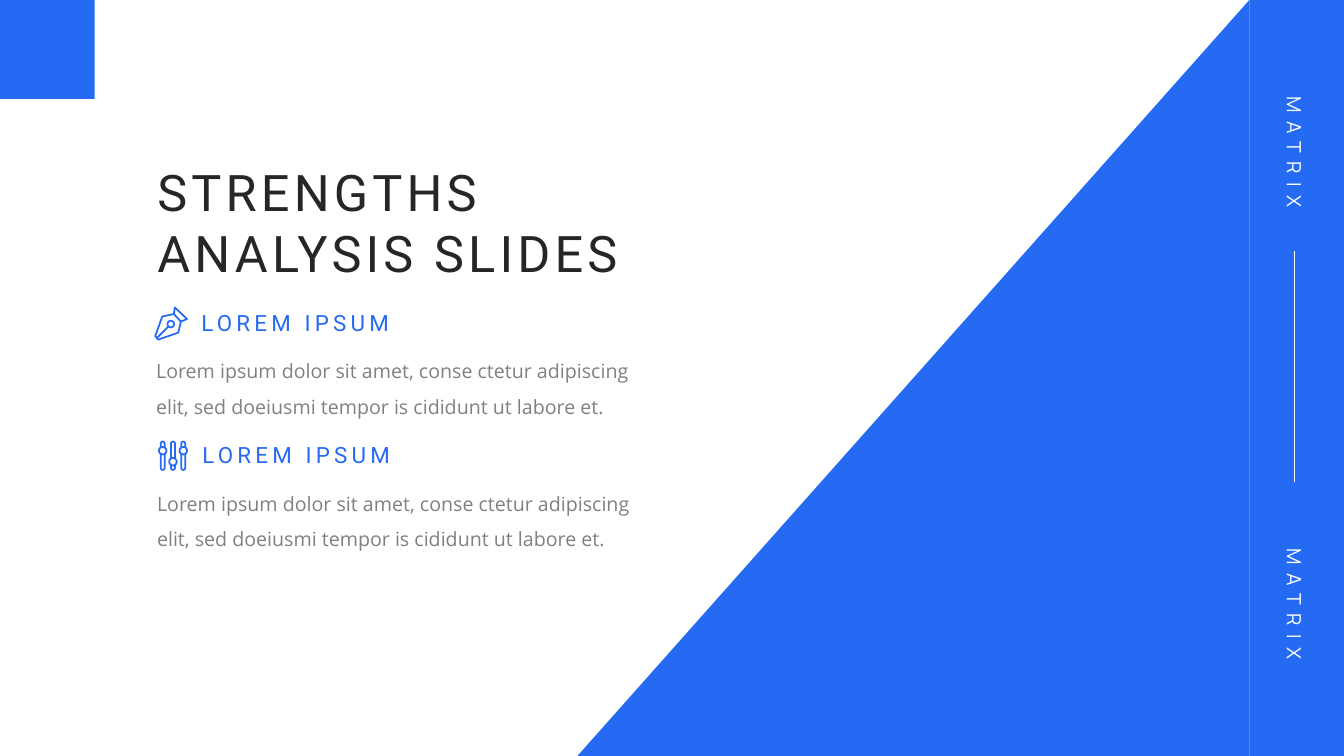
from pptx import Presentation
from pptx.dml.color import RGBColor
from pptx.enum.shapes import MSO_CONNECTOR as Link, MSO_SHAPE as Kind
from pptx.enum.text import MSO_AUTO_SIZE as Fit, PP_ALIGN as Align
from pptx.oxml.ns import qn
from pptx.util import Pt
from lxml.etree import SubElement

BLUE, WHITE, DARK, GREY = "256AF3", "FFFFFF", "262626", "808080"


def paint(color, code):
    color.rgb = RGBColor.from_string(code)


class Page:
    def __init__(self, deck):
        self.shapes = deck.slides.add_slide(deck.slide_layouts[6]).shapes

    def style(self, item, fill, line=None, width=1.25):
        """Give a shape its fill and outline; None leaves either one empty."""
        item.shadow.inherit = False
        for part, code in ((item.fill, fill), (item.line.fill, line)):
            if code:
                part.solid()
                paint(part.fore_color, code)
            else:
                part.background()
        if line:
            item.line.width = Pt(width)
        return item

    def shape(self, kind, x, y, w, h, fill=BLUE, line=None):
        item = self.shapes.add_shape(kind, Pt(x), Pt(y), Pt(w), Pt(h))
        return self.style(item, fill, line)

    def outline(self, *paths):
        """Stroke several paths, each a list of points and a closed flag."""
        pen = None
        for dots, close in paths:
            dots = [(Pt(x), Pt(y)) for x, y in dots]
            if pen is None:
                pen = self.shapes.build_freeform(*dots[0])
            else:
                pen.move_to(*dots[0])
            pen.add_line_segments(dots[1:], close=close)
        return self.style(pen.convert_to_shape(), None, BLUE)

    def line(self, x1, y1, x2, y2, code, width):
        item = self.shapes.add_connector(Link.STRAIGHT, Pt(x1), Pt(y1), Pt(x2), Pt(y2))
        paint(item.line.color, code)
        item.line.width = Pt(width)
        SubElement(item._element.spPr, qn("a:effectLst"))

    def text(self, words, x, y, w, h, size, font, code, gap=0,
             align=Align.LEFT, wrap=True, lead=None, turn=0):
        box = self.shapes.add_textbox(Pt(x), Pt(y), Pt(w), Pt(h))
        box.rotation = turn
        frame = box.text_frame
        frame.word_wrap = wrap
        frame.auto_size = Fit.SHAPE_TO_FIT_TEXT
        para = frame.paragraphs[0]
        para.alignment = align
        if lead:
            para.line_spacing = lead
        run = para.add_run()
        run.text = words
        para.font.size = Pt(size)
        para.font.name = font
        paint(para.font.color, code)
        if gap:
            run._r.get_or_add_rPr().set("spc", str(gap * 100))

    def point(self, x, y):
        """A heading with its two lines of body text, from the body's corner."""
        self.text("LOREM IPSUM", x + 29.5, y - 27.4, 151.2, 26.6, 16, "Roboto",
                  BLUE, gap=3, align=Align.RIGHT, wrap=False)
        self.text("Lorem ipsum dolor sit amet, conse ctetur adipiscing elit, "
                  "sed doeiusmi tempor is cididunt ut labore et.",
                  x, y, 356.4, 55.4, 14, "Open Sans", GREY, lead=1.5)

    def nib(self):
        body = [(110.9, 240.1), (115.9, 226.1), (124.2, 224.3),
                (129.2, 229.7), (127.4, 237.6), (113, 242.6)]
        cap = [body[2], (124.9, 219.6), (133.6, 227.9), body[3]]
        slit = [(112.3, 241.2), (120.2, 233.3)]
        self.outline((body, True), (cap, False), (slit, False))
        self.shape(Kind.OVAL, 119.6, 229.1, 4.8, 4.8, WHITE, BLUE)

    def sliders(self):
        for i, mid in enumerate((321.9, 329.8, 321.9)):
            x = 116.2 + 7.35 * i
            rod = self.shape(Kind.ROUNDED_RECTANGLE, x - 1.4, 315.4, 2.8, 20.3,
                             WHITE, BLUE)
            rod.adjustments[0] = 0.5
            self.shape(Kind.OVAL, x - 2.7, mid - 2.7, 5.4, 5.4, WHITE, BLUE)


def main():
    deck = Presentation()
    deck.slide_width, deck.slide_height = Pt(960), Pt(540)
    page = Page(deck)

    page.shape(Kind.RIGHT_TRIANGLE, 382.4, 30, 540, 480).rotation = 270
    page.shape(Kind.RECTANGLE, 892.4, 0, 67.6, 540)
    for y in (96.5, 419):
        page.text("MATRIX", 853.9, y, 141.1, 24.5, 14, "Manrope", WHITE,
                  gap=6, align=Align.CENTER, turn=90)
    page.line(924.5, 179.3, 924.5, 344.2, WHITE, 0.5)
    page.shape(Kind.RECTANGLE, 0, 0, 67.7, 70.6)

    page.text("STRENGTHS ANALYSIS SLIDES", 105.4, 111.6, 374.4, 94.3, 36,
              "Roboto", DARK, gap=3)
    page.point(104.4, 244.8)
    page.point(105.1, 339.1)
    page.nib()
    page.sliders()
    deck.save("out.pptx")


if __name__ == "__main__":
    main()
